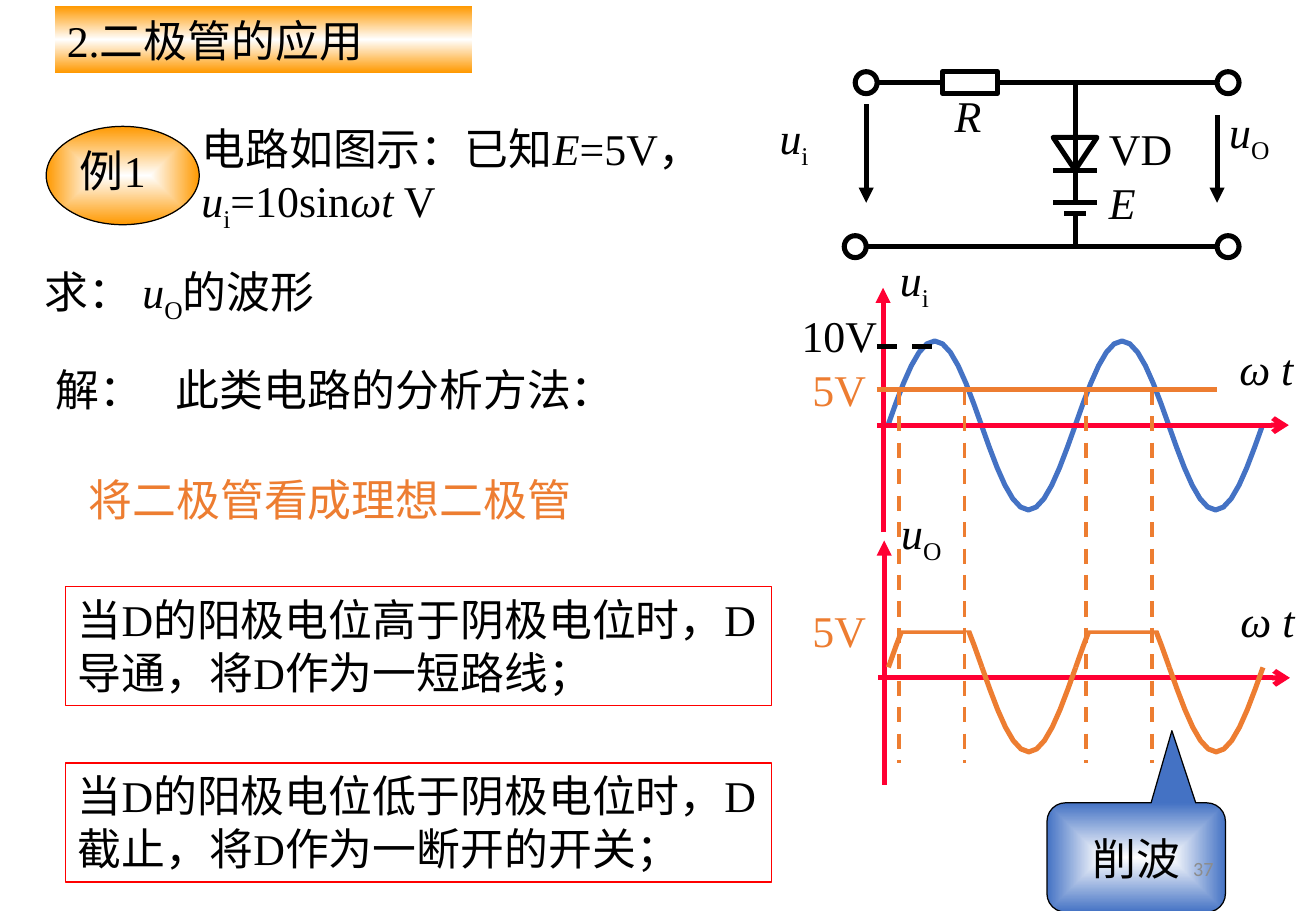
"""Build the slide on diode applications: clipping circuit, method and waveforms."""

from dataclasses import dataclass
from math import pi, sin

from lxml.etree import SubElement
from pptx import Presentation
from pptx.dml.color import RGBColor
from pptx.enum.dml import MSO_LINE
from pptx.enum.shapes import MSO_CONNECTOR, MSO_SHAPE
from pptx.enum.text import MSO_ANCHOR, MSO_AUTO_SIZE, PP_ALIGN
from pptx.oxml.ns import qn
from pptx.shapes.autoshape import Shape
from pptx.shapes.connector import Connector
from pptx.slide import Slide
from pptx.util import Pt


@dataclass(frozen=True)
class Theme:
    black: str = "000000"
    white: str = "FFFFFF"
    amber: str = "FF9900"
    orange: str = "ED7D31"
    blue: str = "4472C4"
    red: str = "FF0000"
    axis: str = "FF0033"
    grey: str = "8C8C8C"
    face: str = "Times New Roman"
    number_face: str = "Calibri"
    body: float = 26
    number: float = 12
    thin: float = 0.75
    dashed: float = 2.25
    thick: float = 3
    clip: float = 4.5


THEME = Theme()


@dataclass(frozen=True)
class Span:
    text: str
    italic: bool = False
    subscript: bool = False


@dataclass(frozen=True)
class Label:
    spans: tuple[Span, ...]
    left: float = 0
    top: float = 0
    width: float = 0
    height: float = 38.9
    color: str = THEME.black
    face: str = THEME.face
    size: float = THEME.body
    align: PP_ALIGN = PP_ALIGN.LEFT
    anchor: MSO_ANCHOR = MSO_ANCHOR.TOP
    wrap: bool = True
    grow: bool = True


@dataclass(frozen=True)
class Wire:
    x1: float
    y1: float
    x2: float
    y2: float
    color: str = THEME.black
    width: float = THEME.thick
    arrow: str = ""
    dash: bool = False


def plain(text: str) -> tuple[Span, ...]:
    return (Span(text),)


def italic(text: str) -> tuple[Span, ...]:
    return (Span(text, italic=True),)


def voltage(index: str) -> tuple[Span, ...]:
    return (Span("u", italic=True), Span(index, subscript=True))


def write(shape: Shape, label: Label) -> None:
    frame = shape.text_frame
    frame.word_wrap = label.wrap
    frame.auto_size = MSO_AUTO_SIZE.SHAPE_TO_FIT_TEXT if label.grow else MSO_AUTO_SIZE.NONE
    frame.vertical_anchor = label.anchor
    para = frame.paragraphs[0]
    para.alignment = label.align
    para.font.name = label.face
    para.font.size = Pt(label.size)
    para.font.color.rgb = RGBColor.from_string(label.color)
    for span in label.spans:
        run = para.add_run()
        run.text = span.text
        if span.italic:
            run.font.italic = True
        if span.subscript:
            run._r.get_or_add_rPr().set("baseline", "-25000")


def add_label(page: Slide, label: Label) -> None:
    box = page.shapes.add_textbox(Pt(label.left), Pt(label.top), Pt(label.width), Pt(label.height))
    write(box, label)


def outline(shape: Shape, color: str, width: float) -> None:
    shape.shadow.inherit = False
    shape.fill.background()
    shape.line.color.rgb = RGBColor.from_string(color)
    shape.line.width = Pt(width)


def add_outline(page: Slide, kind: MSO_SHAPE, left: float, top: float, width: float, height: float,
                color: str = THEME.black, weight: float = THEME.thick) -> Shape:
    shape = page.shapes.add_shape(kind, Pt(left), Pt(top), Pt(width), Pt(height))
    outline(shape, color, weight)
    return shape


def add_gradient(shape: Shape, colors: tuple[str, ...], focus: str = "") -> None:
    shape.fill.gradient()
    gradient = shape._element.spPr.find(qn("a:gradFill"))
    for child in list(gradient):
        gradient.remove(child)
    stops = SubElement(gradient, qn("a:gsLst"))
    for order, color in enumerate(colors):
        stop = SubElement(stops, qn("a:gs"), pos=str(100000 * order // (len(colors) - 1)))
        SubElement(stop, qn("a:srgbClr"), val=color)
    if focus:
        center = SubElement(gradient, qn("a:path"), {"path": focus})
        SubElement(center, qn("a:fillToRect"), dict.fromkeys("ltrb", "50000"))
    else:
        SubElement(gradient, qn("a:lin"), ang="5400000", scaled="1")


def add_wire(page: Slide, wire: Wire) -> Connector:
    connector = page.shapes.add_connector(
        MSO_CONNECTOR.STRAIGHT, Pt(wire.x1), Pt(wire.y1), Pt(wire.x2), Pt(wire.y2))
    connector.line.color.rgb = RGBColor.from_string(wire.color)
    connector.line.width = Pt(wire.width)
    if wire.dash:
        connector.line.dash_style = MSO_LINE.DASH
    properties = connector._element.spPr
    if wire.arrow:
        SubElement(properties.find(qn("a:ln")), qn("a:tailEnd"), type=wire.arrow)
    SubElement(properties, qn("a:effectLst"))
    return connector


def add_wave(page: Slide, left: float, middle: float, color: str) -> None:
    half, height, steps = 55.5, 50.1, 12
    for order in range(4):
        points = [(Pt(left + half * (order + step / steps)),
                   Pt(middle - height * sin(pi * (order + step / steps)))) for step in range(steps + 1)]
        builder = page.shapes.build_freeform(*points[0])
        builder.add_line_segments(points[1:], close=False)
        outline(builder.convert_to_shape(), color, THEME.thick)


def add_heading(page: Slide) -> None:
    title = page.shapes.title
    title.left, title.top, title.width, title.height = Pt(32.4), Pt(3.6), Pt(247.3), Pt(39.6)
    add_gradient(title, (THEME.amber, THEME.white, THEME.amber))
    write(title, Label(plain("2.二极管的应用"), anchor=MSO_ANCHOR.MIDDLE, grow=False))


def add_circuit(page: Slide) -> None:
    resistor = add_outline(page, MSO_SHAPE.RECTANGLE, 558.7, 42.5, 32.4, 13)
    add_outline(page, MSO_SHAPE.ISOSCELES_TRIANGLE, 624.2, 81.4, 26, 19.4).rotation = 180
    add_wire(page, Wire(519.8, 49, 558.7, 49)).end_connect(resistor, 1)
    add_wire(page, Wire(591.1, 49, 721.4, 49)).begin_connect(resistor, 3)
    for wire in (
        Wire(624.2, 100.8, 650.2, 100.8), Wire(624.2, 120.2, 650.2, 120.2),
        Wire(630.7, 126.7, 643.7, 126.7), Wire(637.2, 49, 637.2, 120.2),
        Wire(637.2, 126.7, 637.2, 146.2), Wire(513.4, 146.2, 721.4, 146.2),
        Wire(513.4, 61.9, 513.4, 120.2, arrow="triangle"),
        Wire(721.4, 68.4, 721.4, 120.2, arrow="triangle"),
    ):
        add_wire(page, wire)
    for left, top in ((506.9, 42.5), (500.4, 139.7), (721.4, 139.7), (721.4, 42.5)):
        add_outline(page, MSO_SHAPE.OVAL, left, top, 13, 13)
    for label in (
        Label(italic("R"), 558.7, 49, 32.4), Label(plain("VD"), 650.2, 68.4, 58.3),
        Label(italic("E"), 650.2, 100.8, 32.4), Label(voltage("i"), 455, 61.9, 45.4),
        Label(voltage("O"), 721.4, 58.3, 77.8),
    ):
        add_label(page, label)


def add_method(page: Slide) -> None:
    problem = (Span("电路如图示：已知"), Span("E", italic=True), Span("=5V， "), *voltage("i"),
               Span("=10sin"), Span("ωt", italic=True), Span(" V"))
    for label in (
        Label(problem, 112.3, 68.4, 351.4, 70.6),
        Label((Span("求： "), *voltage("O"), Span("的波形")), 19.4, 153.4, 351.4),
        Label(plain("解："), 25.9, 211.7, 84.2),
        Label(plain("此类电路的分析方法："), 97.2, 211.7, 323.3),
        Label(plain("将二极管看成理想二极管"), 45.4, 276.5, 370.8, color=THEME.orange),
    ):
        add_label(page, label)
    for top, rule in ((347.8, "当D的阳极电位高于阴极电位时，D导通，将D作为一短路线；"),
                      (452.2, "当D的阳极电位低于阴极电位时，D截止，将D作为一断开的开关；")):
        box = add_outline(page, MSO_SHAPE.RECTANGLE, 38.9, top, 418.3, 70.6, THEME.red, THEME.thin)
        write(box, Label(plain(rule)))
    badge = add_outline(page, MSO_SHAPE.OVAL, 27.4, 74.9, 90.7, 58.3, weight=THEME.thin)
    add_gradient(badge, (THEME.white, THEME.amber), "shape")
    add_label(page, Label(plain("例1"), 40.3, 81.4, 64.8))


def add_axes(page: Slide, index: str, right: float, down: float) -> None:
    add_wire(page, Wire(523.4 + right, 315.4 + down, 523.4 + right, 170.6 + down, THEME.axis, arrow="triangle"))
    add_wire(page, Wire(519.8 + right, 252 + down, 763.9 + right, 252 + down, THEME.axis, arrow="arrow"))
    add_label(page, Label(voltage(index), 526.3 + right, 146.2 + down, 56.2, 86.4))
    add_label(page, Label(italic("ω t"), 727.2 + right, 198.7 + down, 46.8, align=PP_ALIGN.CENTER, wrap=False))


def add_waveforms(page: Slide) -> None:
    clips = [(start, start + 38.9) for start in (532.8, 643.7)]
    add_wave(page, 526.3, 252.2, THEME.blue)
    add_axes(page, "i", 0, 0)
    add_axes(page, "O", 0.7, 149.8)
    add_wire(page, Wire(519.8, 205.2, 552.2, 205.2, dash=True))
    add_label(page, Label(plain("10V"), 468, 179.3, 71.3))
    add_wire(page, Wire(519.8, 231.1, 721.4, 231.1, THEME.orange))
    for top in (211.7, 354.2):
        add_label(page, Label(plain("5V"), 474.5, top, 71.3, color=THEME.orange))
    for start, end in clips:
        add_wire(page, Wire(start, 373.7, end, 373.7, THEME.orange, THEME.clip))
    add_wave(page, 526.6, 395.6, THEME.orange)
    for start, _ in clips:
        mask = page.shapes.add_shape(MSO_SHAPE.RECTANGLE, Pt(start), Pt(341.3), Pt(45.4), Pt(32.4))
        mask.shadow.inherit = False
        mask.fill.solid()
        mask.fill.fore_color.rgb = RGBColor.from_string(THEME.white)
        mask.line.fill.background()
    for x in (edge for clip in clips for edge in clip):
        add_wire(page, Wire(x, 231.1, x, 452.2, THEME.orange, THEME.dashed, dash=True))


def add_callout(page: Slide) -> None:
    callout = add_outline(page, MSO_SHAPE.ROUNDED_RECTANGULAR_CALLOUT, 620.6, 475.9, 105.8, 64.8, weight=THEME.thin)
    for order, value in enumerate((0.2, -1.16, 0.17)):
        callout.adjustments[order] = value
    add_gradient(callout, (THEME.white, THEME.blue), "rect")
    write(callout, Label(plain("削波"), align=PP_ALIGN.CENTER, anchor=MSO_ANCHOR.MIDDLE, wrap=False, grow=False))
    add_label(page, Label(plain("37"), 550.8, 500.4, 175.7, 28.8, THEME.grey, THEME.number_face, THEME.number,
                          PP_ALIGN.RIGHT, MSO_ANCHOR.MIDDLE, grow=False))


def main() -> None:
    deck = Presentation()
    deck.slide_width, deck.slide_height = Pt(780), Pt(540)
    page = deck.slides.add_slide(deck.slide_layouts[5])
    for draw in (add_heading, add_circuit, add_method, add_waveforms, add_callout):
        draw(page)
    deck.save("out.pptx")


if __name__ == "__main__":
    main()
